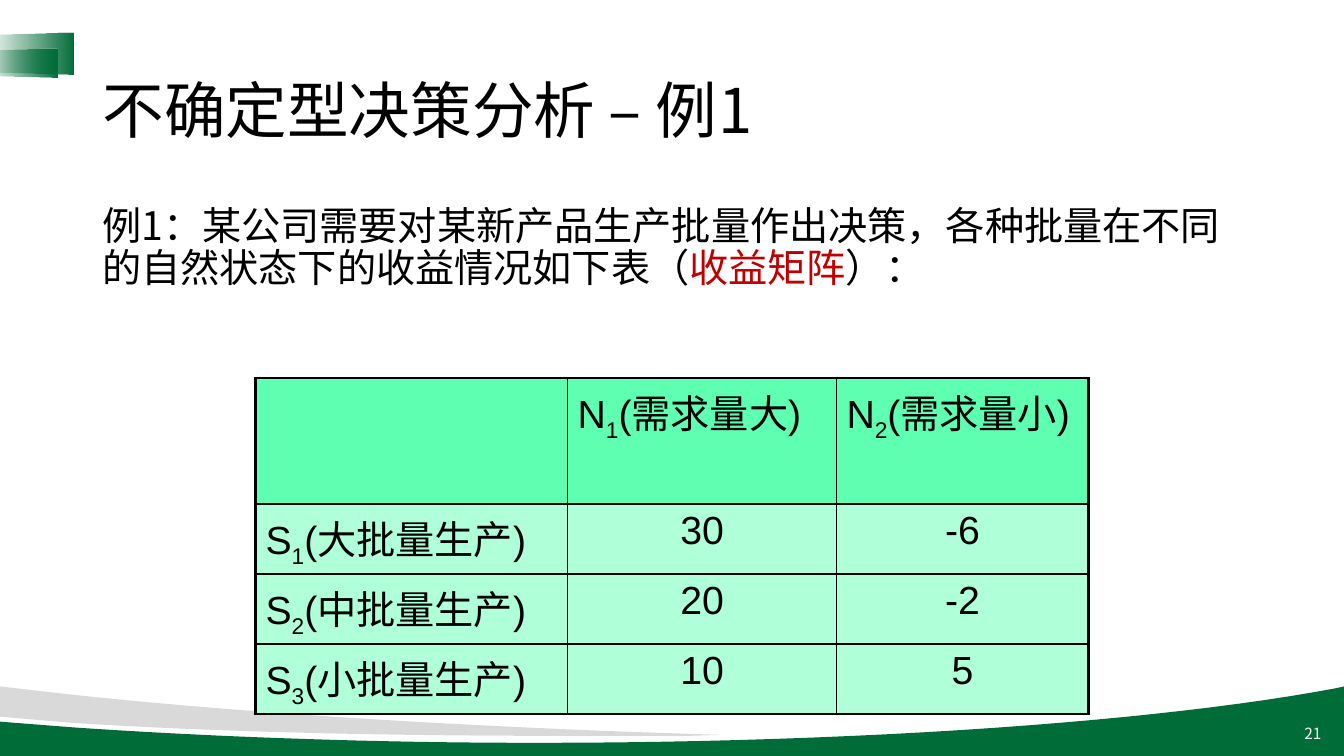
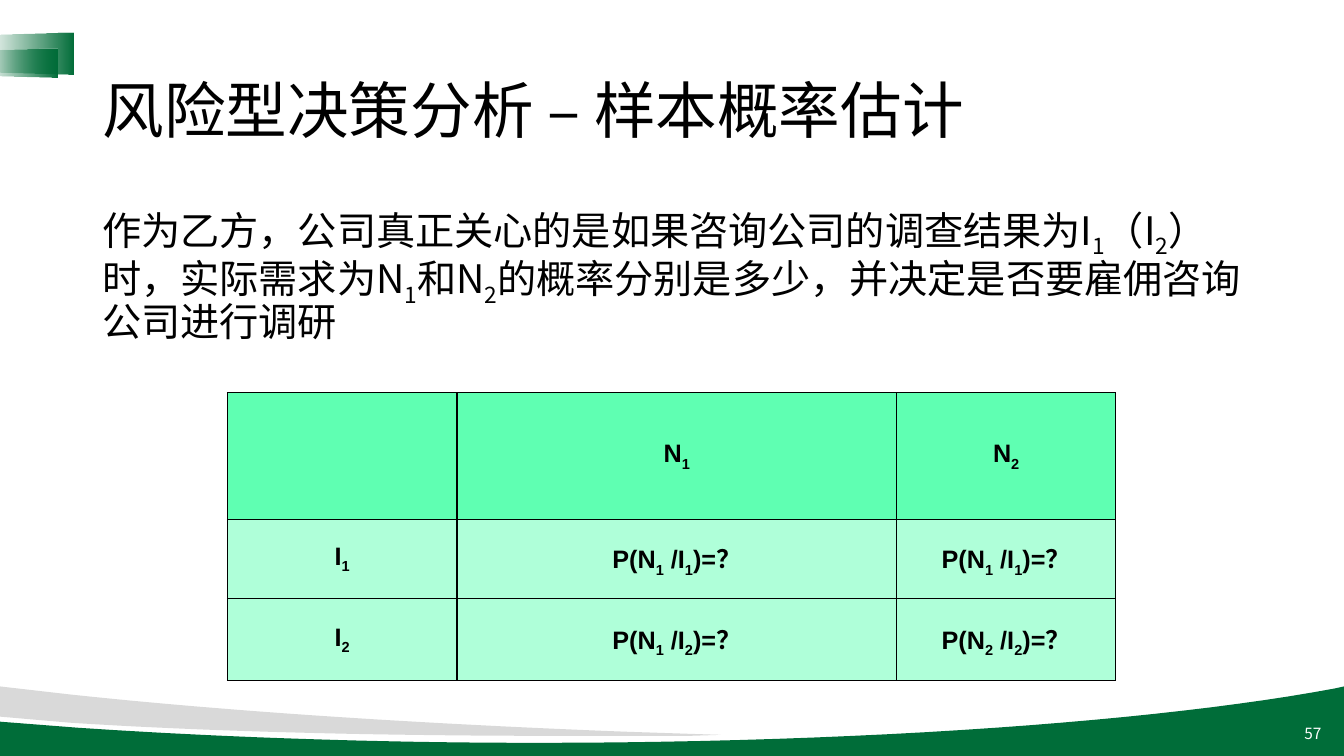
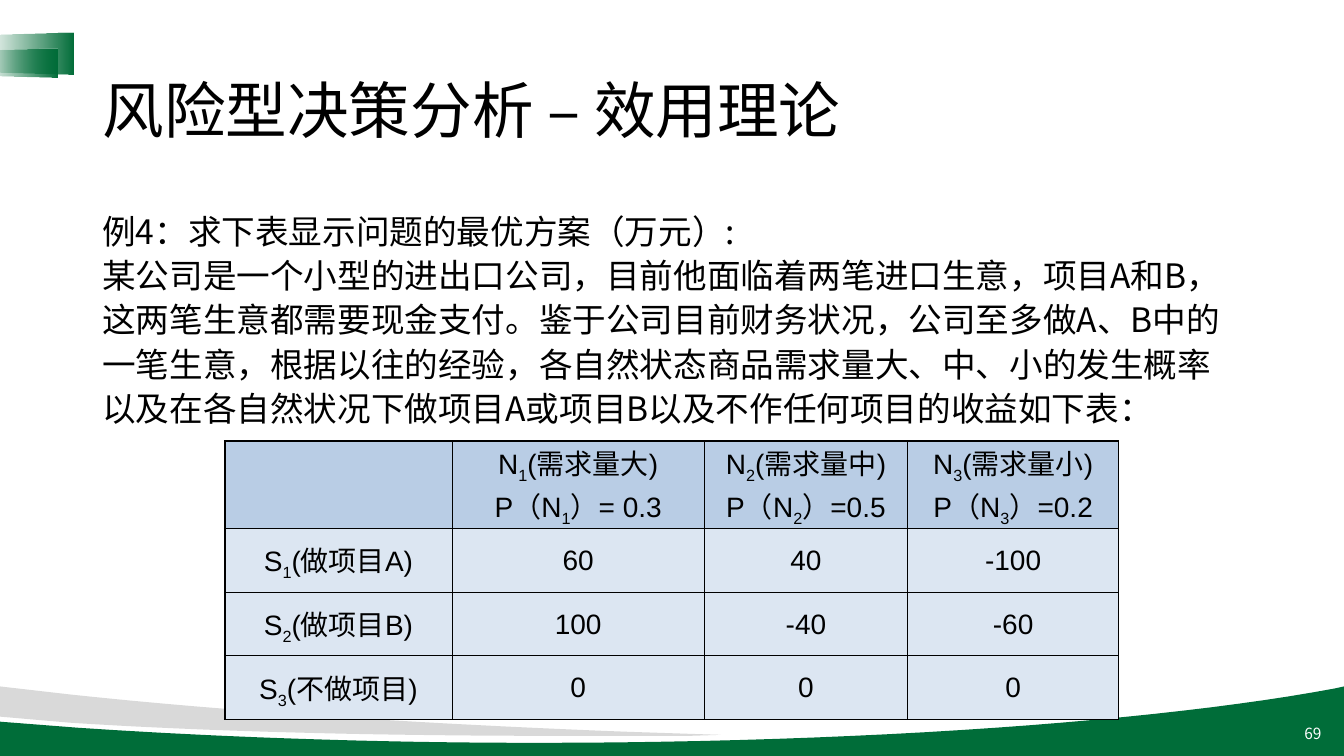
from dataclasses import dataclass

from lxml import etree
from pptx import Presentation
from pptx import util as u
from pptx.dml.color import RGBColor
from pptx.enum import shapes, text
from pptx.oxml import ns

Pt = u.Pt


@dataclass(frozen=True)
class Theme:
    green: str = "006D39"
    grey: str = "D9D9D9"
    black: str = "000000"
    white: str = "FFFFFF"
    red: str = "C00000"
    mint: tuple = ("5FFFB2", "AFFFD9")
    blue: tuple = ("B9CDE5", "DCE6F2")
    sans: str = "Noto Sans CJK SC"
    table_font: str = "Arial"
    title_size: float = 44
    body_size: float = 28
    small_body_size: float = 24
    number_size: float = 11
    payoff_size: float = 28
    probability_size: float = 18
    utility_size: float = 20


@dataclass(frozen=True)
class TableStyle:
    fills: tuple
    size: float
    outer: float = 1
    bold: bool = False
    anchor: text.MSO_ANCHOR = text.MSO_ANCHOR.MIDDLE
    margins: tuple = (7.2, 3.6, 7.2, 3.6)
    label_align: text.PP_ALIGN = text.PP_ALIGN.CENTER


THEME = Theme()

GREEN_WAVE = [
    (960, 490.3), (960, 540), (0, 540), (0, 515.5), (55.4, 519.8),
    (152.6, 526.3, 264.2, 530.6, 383, 530.6),
    (620.6, 530.6, 830.2, 514.8, 953.3, 491.8),
]
GREY_WAVE = [
    (0, 490.3), (50.4, 496.1),
    (164.9, 508.3, 300.2, 517, 447.8, 522.7),
    (514.8, 524.9), (492.5, 525.6), (394.6, 525.6),
    (259.9, 525.6, 138.2, 522, 49.7, 516.2),
    (0, 511.9),
]


def color(value):
    return RGBColor.from_string(value)


def child(parent, tag, **attributes):
    return etree.SubElement(parent, ns.qn(tag), attributes)


def style_para(para, size, name=THEME.sans, fill=THEME.black, bold=False,
               align=text.PP_ALIGN.LEFT, spacing=1.0):
    para.alignment = align
    para.line_spacing = spacing
    para.space_before = para.space_after = Pt(0)
    font = para.font
    font.size, font.name, font.bold = Pt(size), name, bold
    font.color.rgb = color(fill)
    defaults = para._p.get_or_add_pPr().find(ns.qn("a:defRPr"))
    child(defaults, "a:ea", typeface=THEME.sans)


def add_span(para, words, fill=None, subscript=False):
    if not words:
        return
    span = para.add_run()
    span.text = words
    if fill:
        span.font.color.rgb = color(fill)
    if subscript:
        span._r.get_or_add_rPr().set("baseline", "-25000")


def write_spans(para, marked):
    for index, stretch in enumerate(marked.split("*")):
        fill = THEME.red if index % 2 else None
        first, *others = stretch.split("_")
        add_span(para, first, fill)
        for part in others:
            add_span(para, part[0], fill, subscript=True)
            add_span(para, part[1:], fill)


def write_paras(frame, lines, size, **style):
    for index, line in enumerate(lines):
        para = frame.add_paragraph() if index else frame.paragraphs[0]
        style_para(para, size, **style)
        write_spans(para, line)


def curve_points(start, numbers, steps=24):
    nodes = [start] + list(zip(numbers[::2], numbers[1::2]))
    for step in range(1, steps + 1):
        t = step / steps
        weights = ((1 - t) ** 3, 3 * t * (1 - t) ** 2, 3 * t * t * (1 - t), t ** 3)
        yield tuple(sum(w * node[axis] for w, node in zip(weights, nodes))
                    for axis in (0, 1))


def add_wave(page, outline, fill):
    points = [outline[0]]
    for step in outline[1:]:
        points.extend([step] if len(step) == 2 else curve_points(points[-1], step))
    corners = [(Pt(x), Pt(y)) for x, y in points]
    builder = page.shapes.build_freeform(*corners[0], scale=1.0)
    builder.add_line_segments(corners[1:], close=True)
    wave = builder.convert_to_shape()
    wave.shadow.inherit = False
    wave.fill.solid()
    wave.fill.fore_color.rgb = color(fill)
    wave.line.fill.background()
    return wave


def add_tab(page, left, top, width, height):
    tab = page.shapes.add_shape(shapes.MSO_SHAPE.TRAPEZOID,
                                Pt(left), Pt(top), Pt(width), Pt(height))
    tab.adjustments[0] = 0.07
    tab.rotation = 270
    tab.shadow.inherit = False
    tab.line.fill.background()
    tab.fill.gradient()
    tab.fill.gradient_angle = 270
    for stop in tab.fill.gradient_stops:
        stop.color.rgb = color(THEME.green)
    clear_end = next(tab.element.iter(ns.qn("a:gs")))
    child(clear_end[0], "a:alpha", val="0")
    return tab


def dress_layout(layout, page):
    for holder in list(layout.placeholders):
        if holder.placeholder_format.type != shapes.PP_PLACEHOLDER.TITLE:
            holder.element.getparent().remove(holder.element)
    decorations = [
        add_wave(page, GREEN_WAVE, THEME.green),
        add_wave(page, GREY_WAVE, THEME.grey),
        add_tab(page, 5.8, 6.5, 29.5, 63.4),
        add_tab(page, 4.3, 18.7, 20.9, 52.6),
    ]
    for decoration in decorations:
        layout.shapes.element.append(decoration.element)


def set_title(page, words):
    title = page.shapes.title
    title.left, title.top, title.width, title.height = Pt(66), Pt(29), Pt(828), Pt(104)
    frame = title.text_frame
    frame.word_wrap = True
    frame.auto_size = text.MSO_AUTO_SIZE.NONE
    frame.vertical_anchor = text.MSO_ANCHOR.MIDDLE
    write_paras(frame, [words], THEME.title_size, spacing=0.9)


def add_text(page, area, lines, size, anchor=text.MSO_ANCHOR.TOP, **style):
    box = page.shapes.add_textbox(*map(Pt, area))
    frame = box.text_frame
    frame.word_wrap = True
    frame.vertical_anchor = anchor
    write_paras(frame, lines, size, **style)


def add_body(page, lines, size=THEME.body_size, spacing=0.9):
    add_text(page, (66, 144, 828, 343), lines, size, spacing=spacing)


def add_number(page, number):
    add_text(page, (735, 509.5, 216, 29), [str(number)], THEME.number_size,
             anchor=text.MSO_ANCHOR.MIDDLE, fill=THEME.white,
             align=text.PP_ALIGN.RIGHT)


def set_borders(cell, widths):
    properties = cell._tc.get_or_add_tcPr()
    for side, width in zip("LRTB", widths):
        line = child(properties, f"a:ln{side}", w=str(Pt(width)))
        child(child(line, "a:solidFill"), "a:srgbClr", val=THEME.black)


def add_grid(page, left, top, columns, heights, rows, style):
    frame = page.shapes.add_table(len(heights), len(columns), Pt(left), Pt(top),
                                  Pt(sum(columns)), Pt(sum(heights)))
    table = frame.table
    table.first_row = table.horz_banding = False
    for column, width in zip(table.columns, columns):
        column.width = Pt(width)
    for row, height in zip(table.rows, heights):
        row.height = Pt(height)
    last_row, last_column = len(heights) - 1, len(columns) - 1
    for r, row in enumerate(rows):
        for c, words in enumerate(row):
            cell = table.cell(r, c)
            edges = (c == 0, c == last_column, r == 0, r == last_row)
            set_borders(cell, [style.outer if edge else 1 for edge in edges])
            cell.fill.solid()
            cell.fill.fore_color.rgb = color(style.fills[0 if r == 0 else 1])
            cell.vertical_anchor = style.anchor
            (cell.margin_left, cell.margin_top,
             cell.margin_right, cell.margin_bottom) = map(Pt, style.margins)
            is_label = r == 0 or c == 0
            write_paras(cell.text_frame, words.split("\n"), style.size,
                        name=THEME.table_font, bold=style.bold,
                        align=style.label_align if is_label else text.PP_ALIGN.CENTER)


def fill_payoff_page(page):
    add_body(page, ["例1：某公司需要对某新产品生产批量作出决策，各种批量在不同的自然状态下的"
                    "收益情况如下表（*收益矩阵*）："])
    style = TableStyle(THEME.mint, THEME.payoff_size, outer=2.25,
                       anchor=text.MSO_ANCHOR.TOP, label_align=text.PP_ALIGN.LEFT)
    add_grid(page, 182.5, 270, (223, 192, 180), [90] + [50] * 3, [
        ("", "N_1(需求量大)", "N_2(需求量小)"),
        ("S_1(大批量生产)", "30", "-6"),
        ("S_2(中批量生产)", "20", "-2"),
        ("S_3(小批量生产)", "10", "5"),
    ], style)


def fill_probability_page(page):
    add_body(page, ["作为乙方，公司真正关心的是如果咨询公司的调查结果为I_1（I_2）时，"
                    "实际需求为N_1和N_2的概率分别是多少，并决定是否要雇佣咨询公司进行调研"])
    add_grid(page, 162.5, 280.5, (164, 314, 156.5), (90.5, 56.5, 58.5), [
        ("", "N_1", "N_2"),
        ("I_1", "P(N_1 /I_1)=？", "P(N_1 /I_1)=？"),
        ("I_2", "P(N_1 /I_2)=？", "P(N_2 /I_2)=？"),
    ], TableStyle(THEME.mint, THEME.probability_size, bold=True))


def fill_utility_page(page):
    add_body(page, [
        "例4：求下表显示问题的最优方案（万元）:",
        "某公司是一个小型的进出口公司，目前他面临着两笔进口生意，项目A和B，这两笔生意都需要"
        "现金支付。鉴于公司目前财务状况，公司至多做A、B中的一笔生意，根据以往的经验，"
        "各自然状态商品需求量大、中、小的发生概率以及在各自然状况下做项目A或项目B以及"
        "不作任何项目的收益如下表：",
    ], THEME.small_body_size, spacing=1.1)
    style = TableStyle(THEME.blue, THEME.utility_size, outer=1.5,
                       margins=(0.7, 0.7, 0.7, 0))
    add_grid(page, 160.5, 315, (162.5, 180, 145.5, 150.5), [62.5] + [45.5] * 3, [
        ("", "N_1(需求量大)\nP（N_1）= 0.3", "N_2(需求量中)\nP（N_2）=0.5",
         "N_3(需求量小)\nP（N_3）=0.2"),
        ("S_1(做项目A)", "60", "40", "-100"),
        ("S_2(做项目B)", "100", "-40", "-60"),
        ("S_3(不做项目)", "0", "0", "0"),
    ], style)


def main():
    deck = Presentation()
    deck.slide_width, deck.slide_height = Pt(960), Pt(540)
    layout = deck.slide_layouts.get_by_name("Title Only")
    contents = [
        ("不确定型决策分析 – 例1", 21, fill_payoff_page),
        ("风险型决策分析 – 样本概率估计", 57, fill_probability_page),
        ("风险型决策分析 – 效用理论", 69, fill_utility_page),
    ]
    for index, (title, number, fill_page) in enumerate(contents):
        page = deck.slides.add_slide(layout)
        if index == 0:
            dress_layout(layout, page)
        set_title(page, title)
        add_number(page, number)
        fill_page(page)
    deck.save("out.pptx")


if __name__ == "__main__":
    main()
